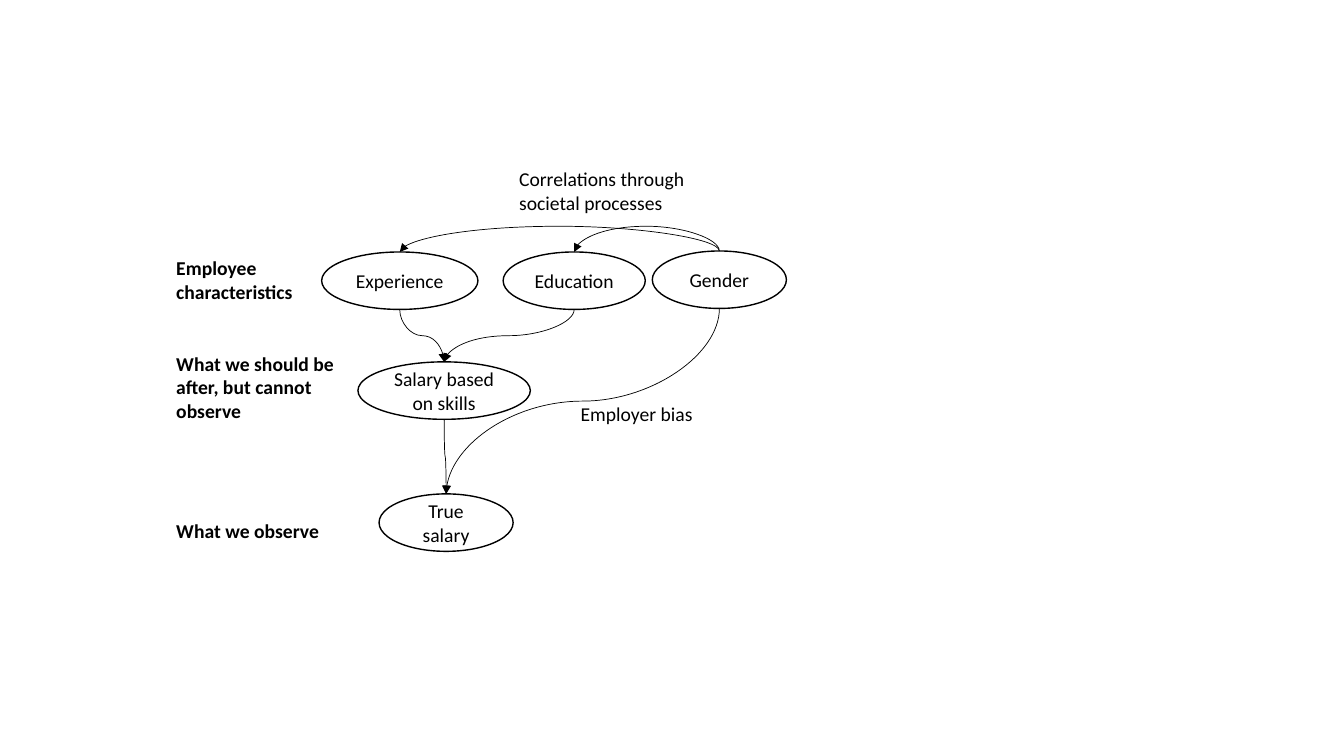
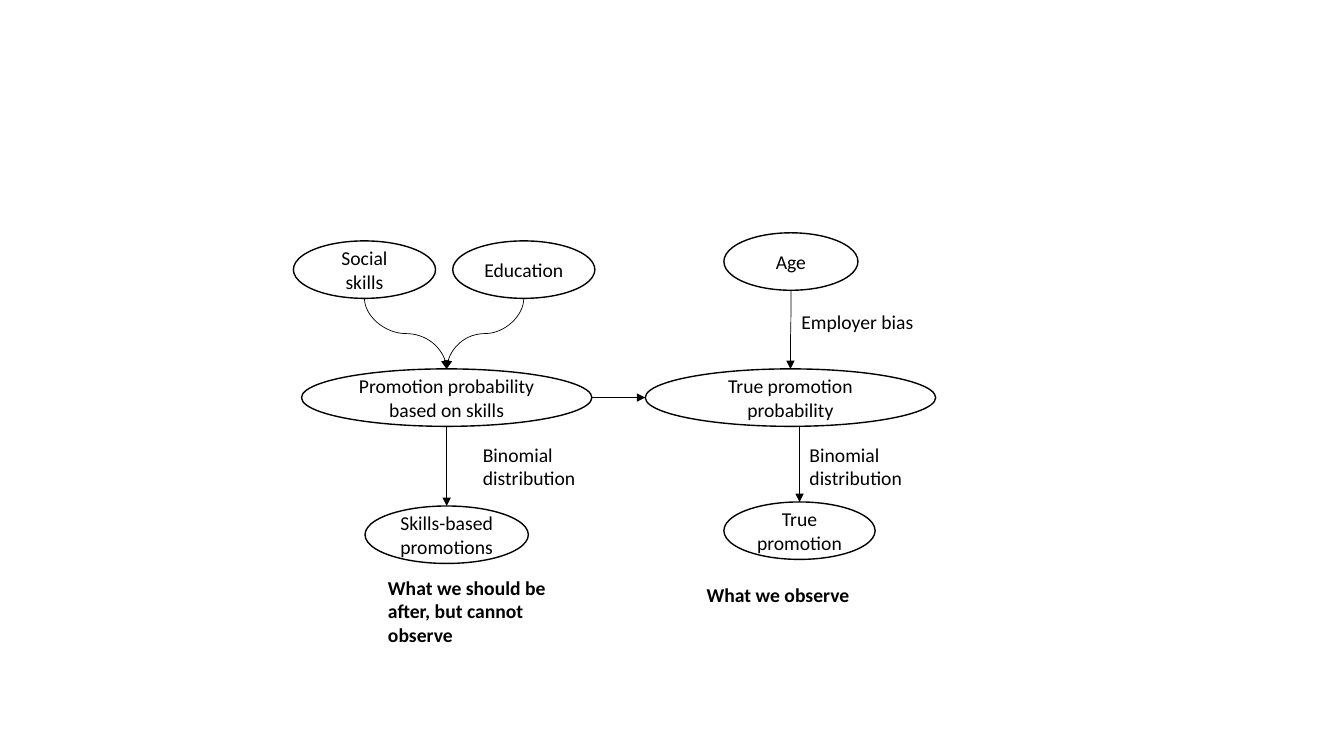
"""Two path diagrams on how bias enters salaries and promotions."""
from lxml.etree import SubElement
from pptx import Presentation
from pptx.dml.color import RGBColor
from pptx.enum.shapes import MSO_CONNECTOR, MSO_SHAPE
from pptx.enum.text import MSO_ANCHOR, MSO_AUTO_SIZE, PP_ALIGN
from pptx.oxml.ns import qn
from pptx.util import Inches, Pt

HUES = {"ink": "000000", "paper": "FFFFFF"}
SIDES = {"top": (0, 0.5, 0), "left": (2, 0, 0.5),
         "bottom": (4, 0.5, 1), "right": (6, 1, 0.5)}
HIDDEN = "What we should be after, but cannot observe"
SEEN = "What we observe"


def hue(name):
    return RGBColor.from_string(HUES[name])


def write(frame, text, bold=False, align=PP_ALIGN.LEFT, anchor=MSO_ANCHOR.TOP):
    frame.word_wrap = True
    frame.vertical_anchor = anchor
    para = frame.paragraphs[0]
    para.alignment = align
    run = para.add_run()
    run.text = text
    run.font.name = "Calibri"
    run.font.size = Pt(14)
    run.font.bold = bold
    run.font.color.rgb = hue("ink")


class Sketch:
    node_high = 0.57
    line_high = 0.235

    def __init__(self, deck):
        self.deck = deck

    def page(self):
        self.slide = self.deck.slides.add_slide(self.deck.slide_layouts[6])
        self.items = self.slide.shapes

    def group(self):
        self.items = self.slide.shapes.add_group_shape().shapes

    def ungroup(self):
        self.items = self.slide.shapes

    def node(self, text, left, top, wide):
        oval = self.items.add_shape(MSO_SHAPE.OVAL, Inches(left), Inches(top),
                                    Inches(wide), Inches(self.node_high))
        oval.shadow.inherit = False
        oval.fill.solid()
        oval.fill.fore_color.rgb = hue("paper")
        oval.line.color.rgb = hue("ink")
        oval.line.width = Pt(1)
        write(oval.text_frame, text, align=PP_ALIGN.CENTER,
              anchor=MSO_ANCHOR.MIDDLE)
        return oval

    def label(self, text, left, top, wide, rows=1, bold=False):
        high = 0.1 + rows * self.line_high
        box = self.items.add_textbox(Inches(left), Inches(top),
                                     Inches(wide), Inches(high))
        write(box.text_frame, text, bold=bold)
        box.text_frame.auto_size = MSO_AUTO_SIZE.SHAPE_TO_FIT_TEXT

    def spot(self, oval, side):
        across, down = SIDES[side][1:]
        return (oval.left + int(oval.width * across),
                oval.top + int(oval.height * down))

    def link(self, start, end, leave="bottom", enter="top", x=None, rise=None):
        x1, y1 = self.spot(start, leave)
        x2, y2 = self.spot(end, enter)
        if x is not None:
            x1 = Inches(x)
        wide, high = abs(x2 - x1), abs(y2 - y1)
        turn, flips = 0, ()
        if leave != "right":
            wide, high = high, wide
            turn, flips = (270, ("flipH",)) if x2 > x1 else (90, ())
        if rise:
            turn, flips = 270, ("flipH", "flipV")
        left, top = (x1 + x2 - wide) // 2, (y1 + y2 - high) // 2
        curve = self.items.add_connector(MSO_CONNECTOR.CURVE, left, top,
                                         left + wide, top + high)
        curve.line.color.rgb = hue("ink")
        curve.line.width = Pt(0.5)
        props = curve.element.spPr
        SubElement(props.find(qn("a:ln")), qn("a:tailEnd"), type="triangle")
        SubElement(props, qn("a:effectLst"))
        frame = props.find(qn("a:xfrm"))
        frame.set("rot", str(turn * 60000))
        for flip in flips:
            frame.set(flip, "1")
        if rise:
            bend = round(-Inches(rise) / wide * 100000)
            SubElement(props.find(qn("a:prstGeom")).find(qn("a:avLst")),
                       qn("a:gd"), name="adj1", fmla=f"val {bend}")
        glue = next(curve.element.iter(qn("p:cNvCxnSpPr")))
        if x is None:
            self.tie(glue, "a:stCxn", start, leave)
        self.tie(glue, "a:endCxn", end, enter)

    def tie(self, glue, tag, oval, side):
        SubElement(glue, qn(tag), id=str(oval.shape_id),
                   idx=str(SIDES[side][0]))


def salary(art):
    art.page()
    art.group()
    past = art.node("Experience", 3.19, 2.5, 1.55)
    school = art.node("Education", 4.99, 2.5, 1.41)
    gender = art.node("Gender", 6.47, 2.49, 1.33)
    skill = art.node("Salary based on skills", 3.55, 3.59, 1.71)
    pay = art.node("True salary", 3.76, 4.9, 1.33)
    for start, end in ((past, skill), (school, skill),
                       (gender, pay), (skill, pay)):
        art.link(start, end)
    art.ungroup()
    art.label("Employer bias", 5.66, 3.94, 1.43)
    for text, top, rows in ((SEEN, 5.1, 1), ("Employee characteristics", 2.49, 2),
                            (HIDDEN, 3.44, 3)):
        art.label(text, 1.65, top, 1.87, rows, bold=True)
    for end in (past, school):
        art.link(gender, end, leave="top", rise=0.25)
    art.label("Correlations through societal processes", 5.05, 1.61, 1.88, 2)


def career(art):
    art.page()
    school = art.node("Education", 4.49, 2.39, 1.41)
    age = art.node("Age", 7.18, 2.31, 1.33)
    social = art.node("Social skills", 2.91, 2.39, 1.41)
    odds = art.node("Promotion probability based on skills", 2.99, 3.66, 2.88)
    real = art.node("True promotion probability", 6.4, 3.66, 2.88)
    fair = art.node("Skills-based promotions", 3.62, 5.02, 1.62)
    raised = art.node("True promotion", 7.18, 4.98, 1.5)
    for start, end in ((school, odds), (social, odds), (age, real), (odds, fair)):
        art.link(start, end)
    art.link(odds, real, leave="right", enter="left")
    art.link(real, raised, x=7.93)
    art.label("Employer bias", 7.85, 3.03, 1.43)
    for left in (4.69, 7.93):
        art.label("Binomial distribution", left, 4.34, 1.22, 2)
    art.label(SEEN, 6.91, 5.73, 1.87, bold=True)
    art.label(HIDDEN, 3.75, 5.66, 1.87, 3, bold=True)


deck = Presentation()
deck.slide_width, deck.slide_height = Inches(13.33), Inches(7.5)
art = Sketch(deck)
salary(art)
career(art)
deck.save("out.pptx")
